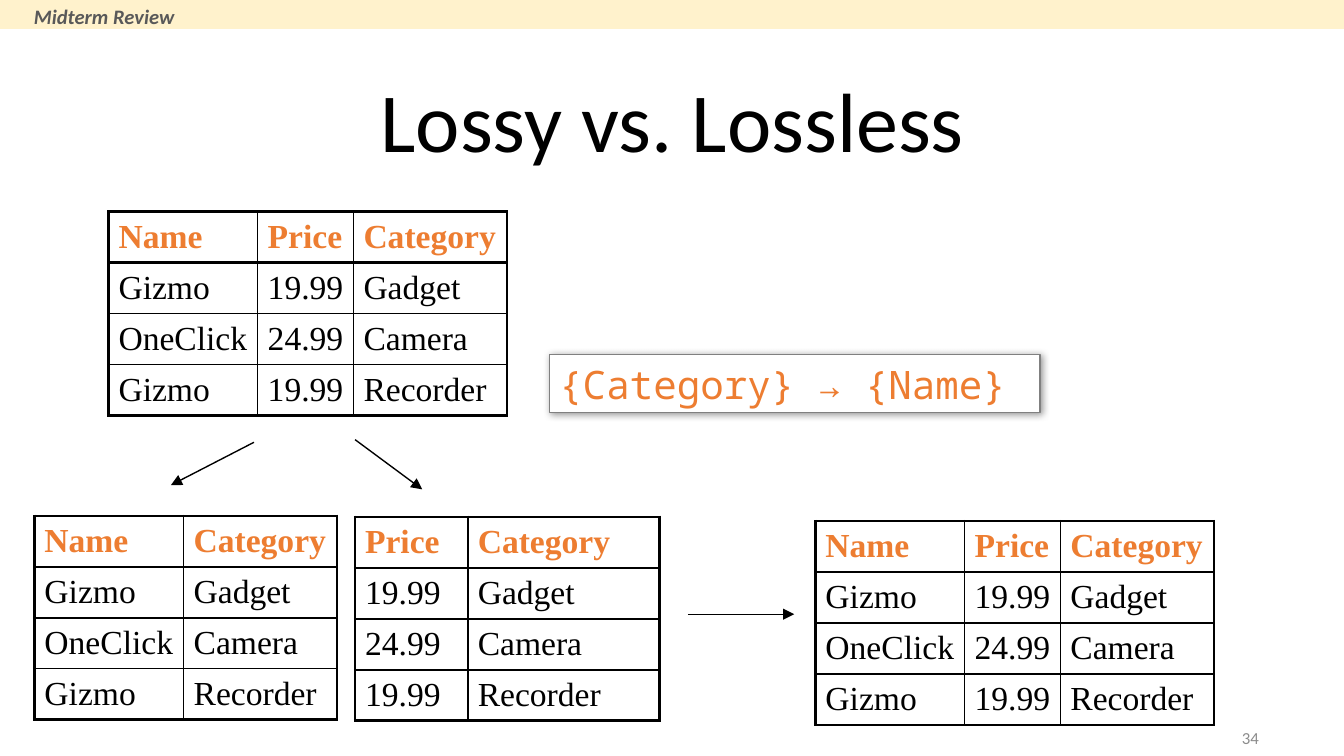
from lxml import etree
from pptx import Presentation
from pptx.dml.color import RGBColor
from pptx.enum.shapes import MSO_CONNECTOR, MSO_SHAPE
from pptx.enum.text import MSO_ANCHOR, MSO_AUTO_SIZE, PP_ALIGN
from pptx.oxml.ns import qn
from pptx.util import Cm, Pt

STRAIGHT = MSO_CONNECTOR.STRAIGHT
RECTANGLE = MSO_SHAPE.RECTANGLE
MIDDLE, BOTTOM = MSO_ANCHOR.MIDDLE, MSO_ANCHOR.BOTTOM
NO_AUTOFIT, GROW = MSO_AUTO_SIZE.NONE, MSO_AUTO_SIZE.SHAPE_TO_FIT_TEXT
LEFT, CENTER, RIGHT = PP_ALIGN.LEFT, PP_ALIGN.CENTER, PP_ALIGN.RIGHT

BLACK = RGBColor(0, 0, 0)
WHITE = RGBColor(255, 255, 255)
ORANGE = RGBColor(0xED, 0x7D, 0x31)
CREAM = RGBColor(0xFF, 0xF2, 0xCC)
DARK_GRAY = RGBColor(0x59, 0x59, 0x59)
MID_GRAY = RGBColor(0x80, 0x80, 0x80)
LIGHT_GRAY = RGBColor(0x8C, 0x8C, 0x8C)

SANS, SERIF, MONO = "Calibri", "Times New Roman", "Noto Sans Mono"
INSET_X, INSET_Y = Cm(0.19), Cm(0.1)
ROW_HEIGHT = Cm(0.95)
OUTER, INNER = 1.5, 1

PRODUCTS = [
    {"Name": "Gizmo", "Price": "19.99", "Category": "Gadget"},
    {"Name": "OneClick", "Price": "24.99", "Category": "Camera"},
    {"Name": "Gizmo", "Price": "19.99", "Category": "Recorder"},
]
WIDTHS = {"Name": 2.82, "Price": 1.81, "Category": 2.9}


def place(shape, left, top, width, height):
    shape.left, shape.top = Cm(left), Cm(top)
    shape.width, shape.height = Cm(width), Cm(height)


def set_insets(holder):
    """Give a text frame or a table cell the narrow margins."""
    holder.margin_left = holder.margin_right = INSET_X
    holder.margin_top = holder.margin_bottom = INSET_Y


def write(frame, text, font_name, size, color, align=LEFT, bold=False, italic=False):
    frame.text = text
    paragraph = frame.paragraphs[0]
    paragraph.alignment = align
    font = paragraph.runs[0].font
    font.name, font.size, font.bold, font.italic = font_name, Pt(size), bold, italic
    font.color.rgb = color


def format_title(title):
    place(title, 3.18, 1.35, 19.05, 1.98)
    frame = title.text_frame
    set_insets(frame)
    frame.vertical_anchor = BOTTOM
    frame.auto_size = NO_AUTOFIT
    write(frame, "Lossy vs. Lossless", SANS, 45, BLACK, CENTER)
    frame.paragraphs[0].line_spacing = 0.9


def add_banner(slide, text):
    banner = slide.shapes.add_group_shape()
    band = banner.shapes.add_shape(RECTANGLE, 0, 0, Cm(25.4), Cm(0.55))
    band.shadow.inherit = False
    band.fill.solid()
    band.fill.fore_color.rgb = CREAM
    band.line.fill.background()
    label = banner.shapes.add_textbox(Cm(0.39), Cm(-0.05), Cm(3.23), Cm(0.73))
    label.text_frame.word_wrap = False
    label.text_frame.auto_size = GROW
    write(label.text_frame, text, SANS, 11, DARK_GRAY, bold=True, italic=True)


def add_page_number(slide, number):
    box = slide.shapes.add_textbox(Cm(18.26), Cm(13.56), Cm(5.72), Cm(0.76))
    frame = box.text_frame
    set_insets(frame)
    frame.word_wrap = True
    frame.vertical_anchor = MIDDLE
    write(frame, number, SANS, 9, LIGHT_GRAY, RIGHT)


def set_borders(cell, left, right, top, bottom):
    """Draw black borders of the given widths in points."""
    properties = cell._tc.get_or_add_tcPr()
    sides = {"a:lnL": left, "a:lnR": right, "a:lnT": top, "a:lnB": bottom}
    for position, (tag, width) in enumerate(sides.items()):
        border = etree.Element(qn(tag), w=str(Pt(width)))
        fill = etree.SubElement(border, qn("a:solidFill"))
        etree.SubElement(fill, qn("a:srgbClr"), val=str(BLACK))
        properties.insert(position, border)


def add_relation(slide, left, top, widths, bottom=OUTER):
    """Project the products onto the attributes that have a width."""
    attributes = list(widths)
    rows = [attributes] + [[item[name] for name in attributes] for item in PRODUCTS]
    last_row, last_column = len(rows) - 1, len(attributes) - 1
    table = slide.shapes.add_table(
        len(rows), len(attributes), Cm(left), Cm(top),
        Cm(sum(widths.values())), ROW_HEIGHT * len(rows)).table
    table.first_row = table.horz_banding = False
    for column, width in zip(table.columns, widths.values()):
        column.width = Cm(width)
    for r, values in enumerate(rows):
        table.rows[r].height = ROW_HEIGHT
        header = r == 0
        for c, value in enumerate(values):
            cell = table.cell(r, c)
            set_insets(cell)
            cell.vertical_anchor = MIDDLE
            cell.fill.background()
            write(cell.text_frame, value, SERIF, 18,
                  ORANGE if header else BLACK, bold=header)
            set_borders(
                cell,
                left=OUTER if c == 0 else INNER,
                right=OUTER if c == last_column else INNER,
                top=OUTER if r <= 1 else INNER,
                bottom=OUTER if header else bottom if r == last_row else INNER)


def add_arrow(slide, x1, y1, x2, y2):
    arrow = slide.shapes.add_connector(STRAIGHT, Cm(x1), Cm(y1), Cm(x2), Cm(y2))
    arrow.line.color.rgb = BLACK
    arrow.line.width = Pt(0.75)
    etree.SubElement(arrow.line._get_or_add_ln(), qn("a:tailEnd"), type="triangle")
    etree.SubElement(arrow._element.spPr, qn("a:effectLst"))


def add_dependency(slide, text):
    box = slide.shapes.add_shape(RECTANGLE, Cm(10.38), Cm(6.7), Cm(9.28), Cm(1.1))
    box.fill.solid()
    box.fill.fore_color.rgb = WHITE
    box.line.color.rgb = MID_GRAY
    box.line.width = Pt(0.75)
    frame = box.text_frame
    set_insets(frame)
    frame.word_wrap = True
    frame.auto_size = GROW
    write(frame, text, MONO, 21, ORANGE)
    effects = etree.SubElement(box._element.spPr, qn("a:effectLst"))
    shadow = etree.SubElement(
        effects, qn("a:outerShdw"), blurRad=str(Pt(4)), dist=str(Pt(1)),
        dir="2700000", algn="tl", rotWithShape="0")
    color = etree.SubElement(shadow, qn("a:srgbClr"), val=str(BLACK))
    etree.SubElement(color, qn("a:alpha"), val="40000")


def main():
    deck = Presentation()
    deck.slide_width, deck.slide_height = Cm(25.4), Cm(14.29)
    slide = deck.slides.add_slide(deck.slide_layouts[5])

    format_title(slide.shapes.title)
    add_banner(slide, "Midterm Review")
    add_page_number(slide, "34")

    add_relation(slide, 2.05, 4, WIDTHS)
    add_relation(slide, 0.65, 9.75, {k: WIDTHS[k] for k in ("Name", "Category")})
    add_relation(slide, 6.71, 9.77, {"Price": 2.13, "Category": 3.62})
    add_arrow(slide, 4.8, 8.36, 3.23, 9.17)
    add_arrow(slide, 6.71, 8.31, 7.98, 9.25)
    add_relation(slide, 15.41, 9.85, WIDTHS, bottom=INNER)
    add_arrow(slide, 13, 11.61, 15.01, 11.61)
    add_dependency(slide, "{Category} → {Name}")

    deck.save("out.pptx")


if __name__ == "__main__":
    main()
